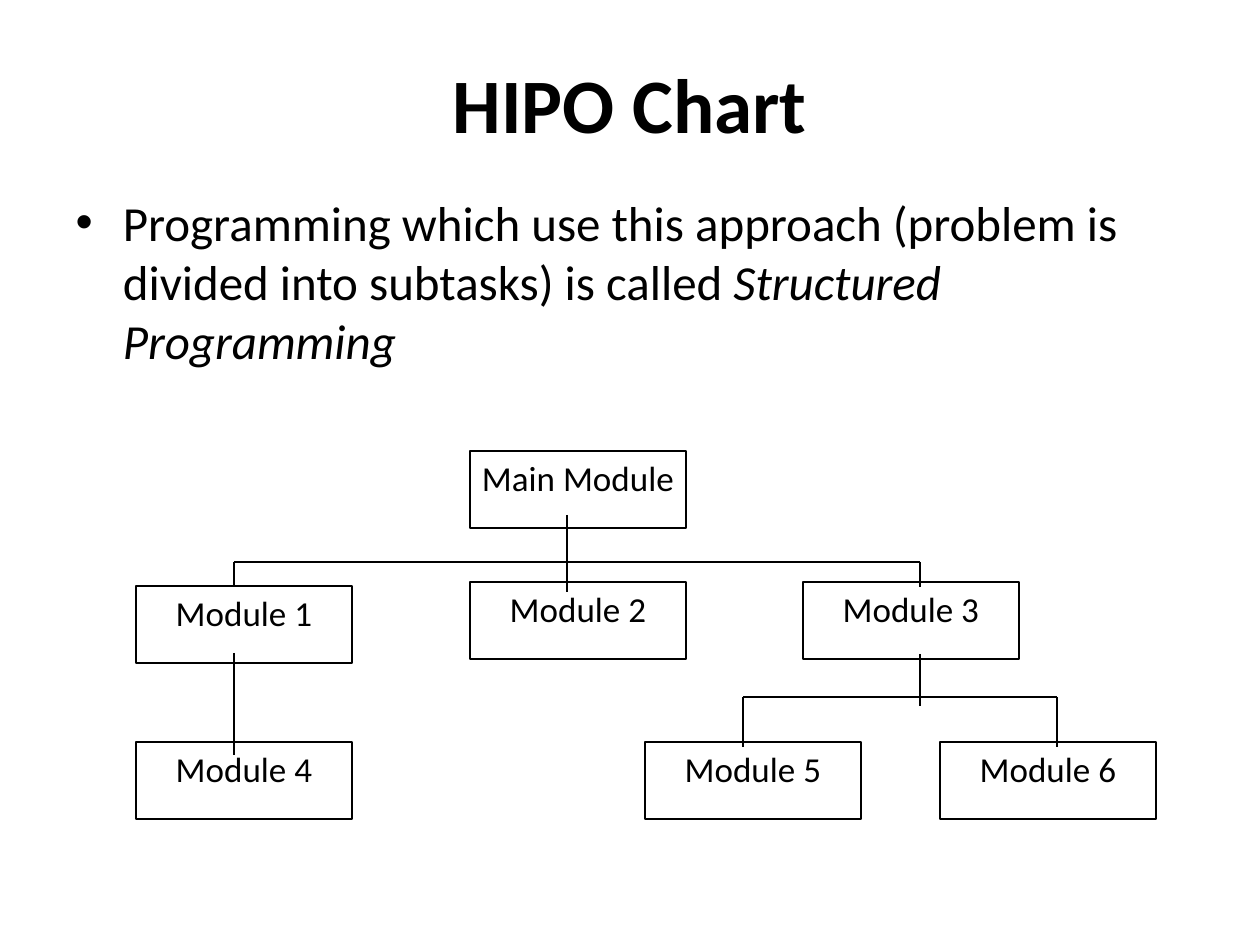
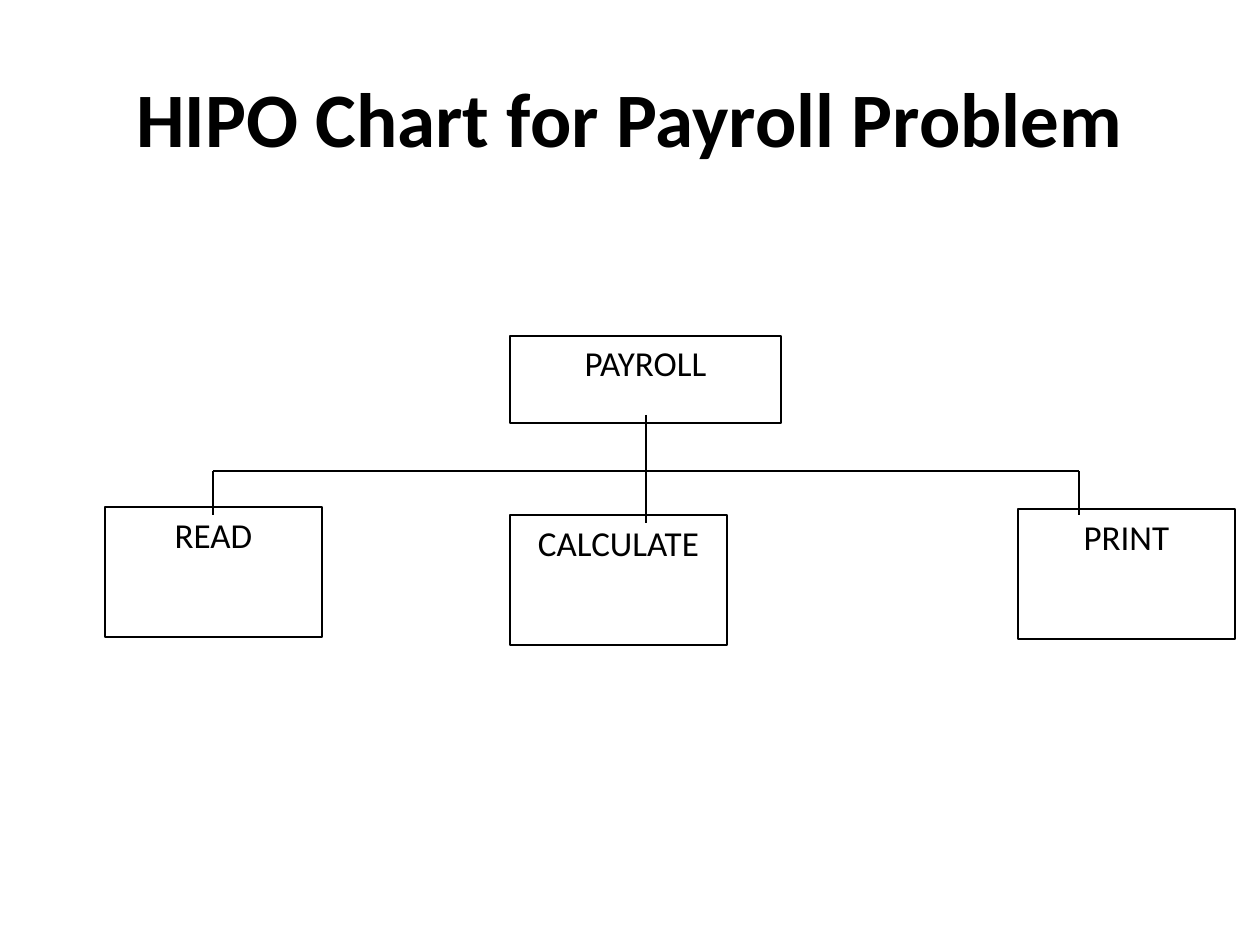
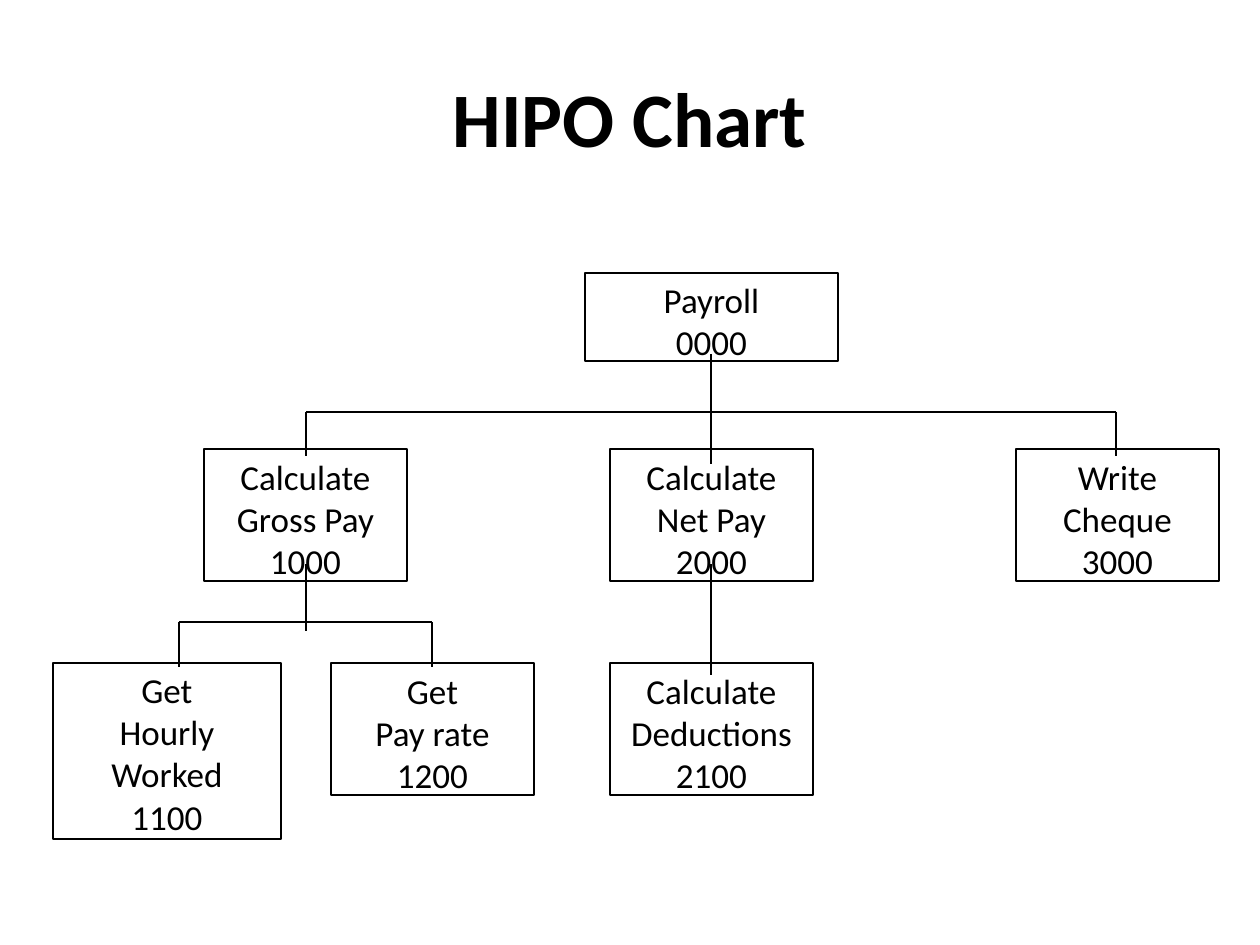
"""Build three slides of HIPO charts: boxes joined by branching lines."""
from lxml.etree import SubElement
from pptx import Presentation
from pptx.dml.color import RGBColor
from pptx.enum.shapes import MSO_CONNECTOR, MSO_SHAPE
from pptx.enum.text import MSO_ANCHOR, PP_ALIGN
from pptx.oxml.ns import qn
from pptx.util import Emu, Pt

COLORS = {"ink": "000000", "paper": "FFFFFF"}
INK = RGBColor.from_string(COLORS["ink"])
PAPER = RGBColor.from_string(COLORS["paper"])
FONT = "Calibri"


def px(*lengths):
    return [Emu(round(n * 914400 / 126)) for n in lengths]


def add_run(p, text, size, bold=False, italic=False):
    r = p.add_run()
    r.text = text
    r.font.name, r.font.size, r.font.color.rgb = FONT, Pt(size), INK
    r.font.bold, r.font.italic = bold, italic


# Boxes: left, top, width, height, lines of text.
# Branches: stem x, stem top, stem bottom, bar y, bar ends, drop bottom.
CHARTS = [
    {
        "title": "HIPO Chart",
        "title_height": 130,
        "layout": 1,
        "body": [
            ("Programming which use this approach (problem is divided into subtasks) is called ", False),
            ("Structured Programming", True),
        ],
        "boxes": [
            (470, 451, 216, 77, ["Main Module"]),
            (136, 586, 216, 77, ["Module 1"]),
            (470, 582, 216, 77, ["Module 2"]),
            (803, 582, 216, 77, ["Module 3"]),
            (136, 742, 216, 77, ["Module 4"]),
            (645, 742, 216, 77, ["Module 5"]),
            (940, 742, 216, 77, ["Module 6"]),
        ],
        "branches": [
            (567, 515, 592, 562, [234, 920], 587),
            (920, 654, 706, 697, [743, 1057], 747),
            (234, 653, 755, None, [], None),
        ],
    },
    {
        "title": "HIPO Chart for Payroll Problem",
        "title_height": 158,
        "layout": 5,
        "body": [],
        "boxes": [
            (510, 336, 271, 87, ["PAYROLL"]),
            (105, 507, 217, 130, ["READ"]),
            (510, 515, 217, 130, ["CALCULATE"]),
            (1018, 509, 217, 130, ["PRINT"]),
        ],
        "branches": [(646, 415, 523, 471, [213, 1079], 515)],
    },
    {
        "title": "HIPO Chart",
        "title_height": 158,
        "layout": 5,
        "body": [],
        "boxes": [
            (585, 273, 253, 88, ["Payroll", "0000"]),
            (204, 449, 203, 132, ["Calculate", "Gross Pay", "1000"]),
            (610, 449, 203, 132, ["Calculate", "Net Pay", "2000"]),
            (1016, 449, 203, 132, ["Write", "Cheque", "3000"]),
            (53, 663, 228, 176, ["Get", "Hourly", "Worked", "1100"]),
            (331, 663, 203, 132, ["Get", "Pay rate", "1200"]),
            (610, 663, 203, 132, ["Calculate", "Deductions", "2100"]),
        ],
        "branches": [
            (711, 354, 464, 412, [306, 1116], 456),
            (306, 564, 631, 622, [179, 432], 667),
            (711, 564, 675, None, [], None),
        ],
    },
]

prs = Presentation()
prs.slide_width, prs.slide_height = px(1260, 945)

for chart in CHARTS:
    s = prs.slides.add_slide(prs.slide_layouts[chart["layout"]])
    s.background.fill.solid()
    s.background.fill.fore_color.rgb = PAPER

    title = s.shapes.title
    title.left, title.top, title.width, title.height = px(63, 38, 1134, chart["title_height"])
    title.text_frame.vertical_anchor = MSO_ANCHOR.MIDDLE
    p = title.text_frame.paragraphs[0]
    p.alignment = PP_ALIGN.CENTER
    add_run(p, chart["title"], 44, bold=True)

    if chart["body"]:
        body = s.placeholders[1]
        body.left, body.top, body.width, body.height = px(63, 186, 1134, 658)
        for text, italic in chart["body"]:
            add_run(body.text_frame.paragraphs[0], text, 28, italic=italic)

    for left, top, width, height, lines in chart["boxes"]:
        sp = s.shapes.add_shape(MSO_SHAPE.RECTANGLE, *px(left, top, width, height))
        sp.shadow.inherit = False
        sp.fill.solid()
        sp.fill.fore_color.rgb = PAPER
        sp.line.color.rgb = INK
        sp.line.width = Pt(0.75)
        tf = sp.text_frame
        tf.word_wrap = True
        tf.vertical_anchor = MSO_ANCHOR.TOP
        tf.margin_left, tf.margin_top, tf.margin_right, tf.margin_bottom = px(3, 6, 3, 6)
        for i, text in enumerate(lines):
            p = tf.add_paragraph() if i else tf.paragraphs[0]
            p.alignment = PP_ALIGN.CENTER
            add_run(p, text, 20)

    for x, top, bottom, bar, ends, drop in chart["branches"]:
        segments = [(x, top, x, bottom)]
        if ends:
            segments.append((ends[0], bar, ends[-1], bar))
            segments += [(end, bar, end, drop) for end in ends]
        for segment in segments:
            line = s.shapes.add_connector(MSO_CONNECTOR.STRAIGHT, *px(*segment))
            line.line.color.rgb = INK
            line.line.width = Pt(0.75)
            SubElement(line._element.spPr, qn("a:effectLst"))

prs.save("out.pptx")
